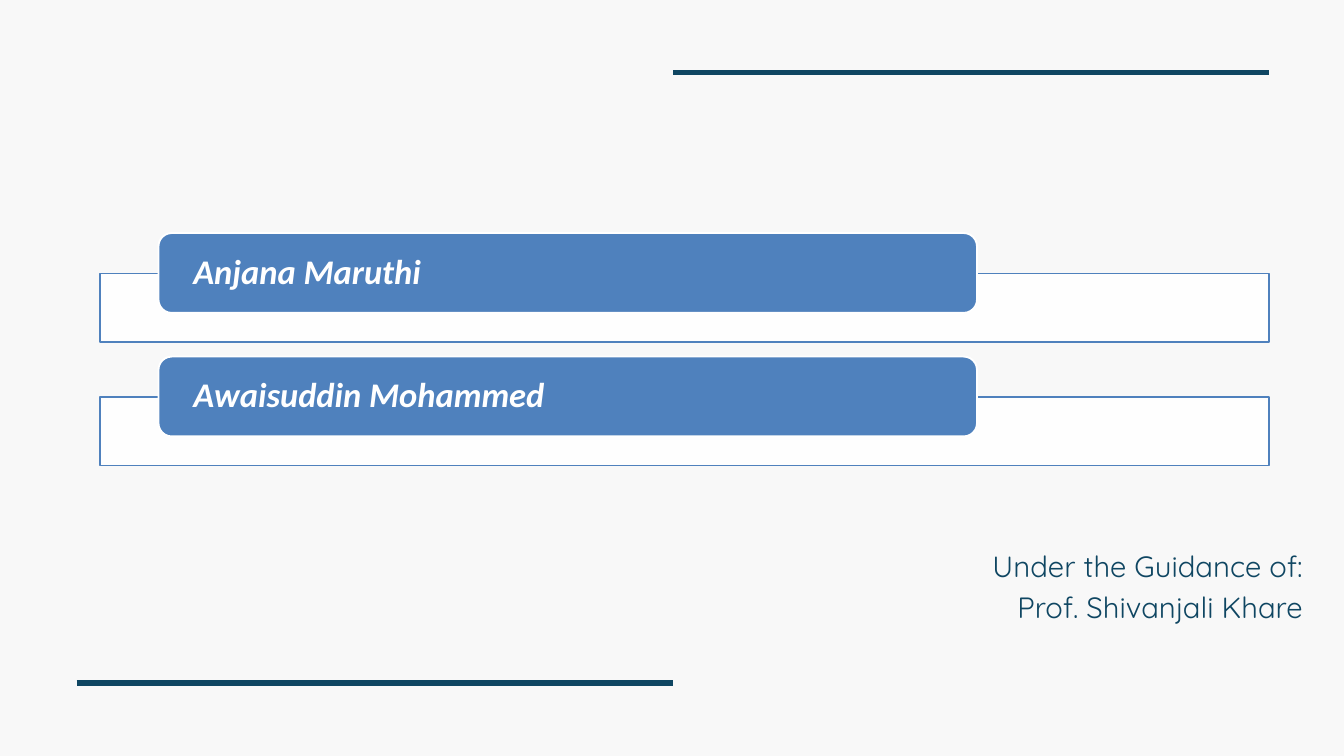
from lxml.etree import SubElement
from pptx import Presentation
from pptx.dml.color import RGBColor
from pptx.enum.shapes import MSO_CONNECTOR as Connector, MSO_SHAPE as Shape
from pptx.enum.text import MSO_ANCHOR as Anchor, PP_ALIGN as Align
from pptx.oxml.ns import qn
from pptx.util import Cm, Pt

COLORS = {
    "background": "F8F8F8",
    "navy": "0F4662",
    "blue": "4F81BD",
    "white": "FFFFFF",
}


class SlideBuilder:
    """Holds the style and the current slide."""

    def __init__(self, slide):
        self.slide = slide
        fill = slide.background.fill
        fill.solid()
        fill.fore_color.rgb = self.color("background")

    def color(self, name):
        return RGBColor.from_string(COLORS[name])

    def rule(self, left, right, top):
        line = self.slide.shapes.add_connector(
            Connector.STRAIGHT, Cm(left), Cm(top), Cm(right), Cm(top))
        line.line.color.rgb = self.color("navy")
        line.line.width = Pt(6)
        SubElement(line._element.spPr, qn("a:effectLst"))

    def panel(self, kind, left, top, width, height, fill, outline, opacity=100):
        panel = self.slide.shapes.add_shape(
            kind, Cm(left), Cm(top), Cm(width), Cm(height))
        panel.shadow.inherit = False
        panel.fill.solid()
        panel.fill.fore_color.rgb = self.color(fill)
        panel.line.color.rgb = self.color(outline)
        panel.line.width = Pt(2)
        if opacity < 100:
            tint = panel._element.spPr.find(qn("a:solidFill"))[0]
            SubElement(tint, qn("a:alpha"), val=str(opacity * 1000))
        return panel

    def set_text(self, shape, lines, font, size, color, align, spacing,
                 side=0, anchor=Anchor.TOP, strong=False):
        frame = shape.text_frame
        frame.word_wrap = True
        frame.vertical_anchor = anchor
        frame.margin_left = frame.margin_right = Cm(side)
        frame.margin_top = frame.margin_bottom = 0
        frame.text = "\n".join(lines)
        for para in frame.paragraphs:
            para.alignment = align
            para.line_spacing = spacing
            for span in para.runs:
                span.font.name = font
                span.font.size = Pt(size)
                span.font.color.rgb = self.color(color)
                span.font.bold = span.font.italic = strong

    def text(self, left, top, width, height, lines, **style):
        box = self.slide.shapes.add_textbox(
            Cm(left), Cm(top), Cm(width), Cm(height))
        self.set_text(box, lines, **style)

    def name_row(self, top, name):
        self.panel(Shape.RECTANGLE, 3.78, top + 1.53, 44.2, 2.59,
                   "white", "blue", opacity=90)
        tab = self.panel(Shape.ROUNDED_RECTANGLE, 5.99, top, 30.94, 3.02,
                         "blue", "white")
        self.set_text(tab, [name], font="Calibri", size=37, color="white",
                      align=Align.LEFT, spacing=0.9, side=1.17,
                      anchor=Anchor.MIDDLE, strong=True)


def main():
    deck = Presentation()
    deck.slide_width, deck.slide_height = Cm(50.8), Cm(28.58)
    page = SlideBuilder(deck.slides.add_slide(deck.slide_layouts[6]))

    # Rules at the top right and bottom left, meeting at mid-slide
    page.rule(25.45, 47.98, 2.74)
    page.rule(2.9, 25.45, 25.83)

    # Supervisor
    page.text(16.92, 20.5, 32.33, 3,
              ["Under the Guidance of:", "Prof. Shivanjali Khare"],
              font="Quicksand", size=31.4, color="navy",
              align=Align.RIGHT, spacing=Pt(44))

    # Team members, one row each
    for index, name in enumerate(["Anjana Maruthi", "Awaisuddin Mohammed"]):
        page.name_row(8.81 + index * 4.67, name)

    deck.save("out.pptx")


if __name__ == "__main__":
    main()
